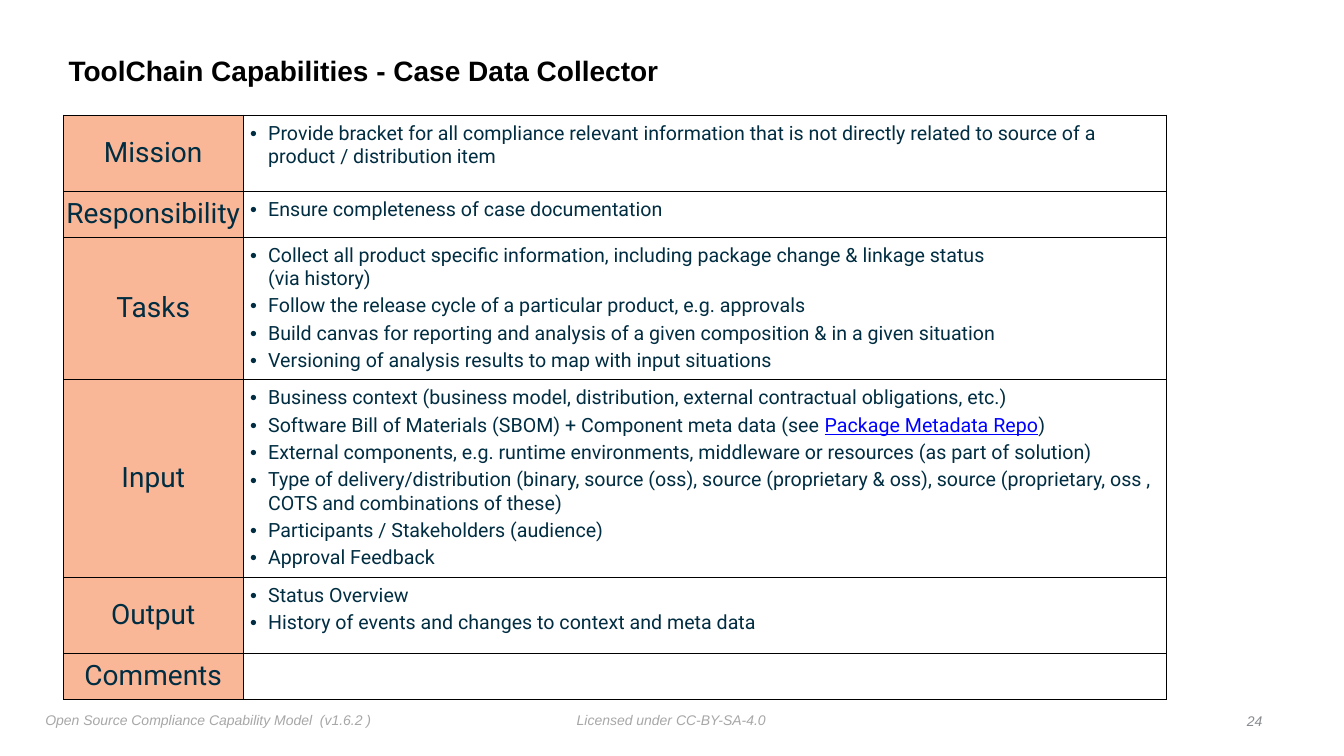
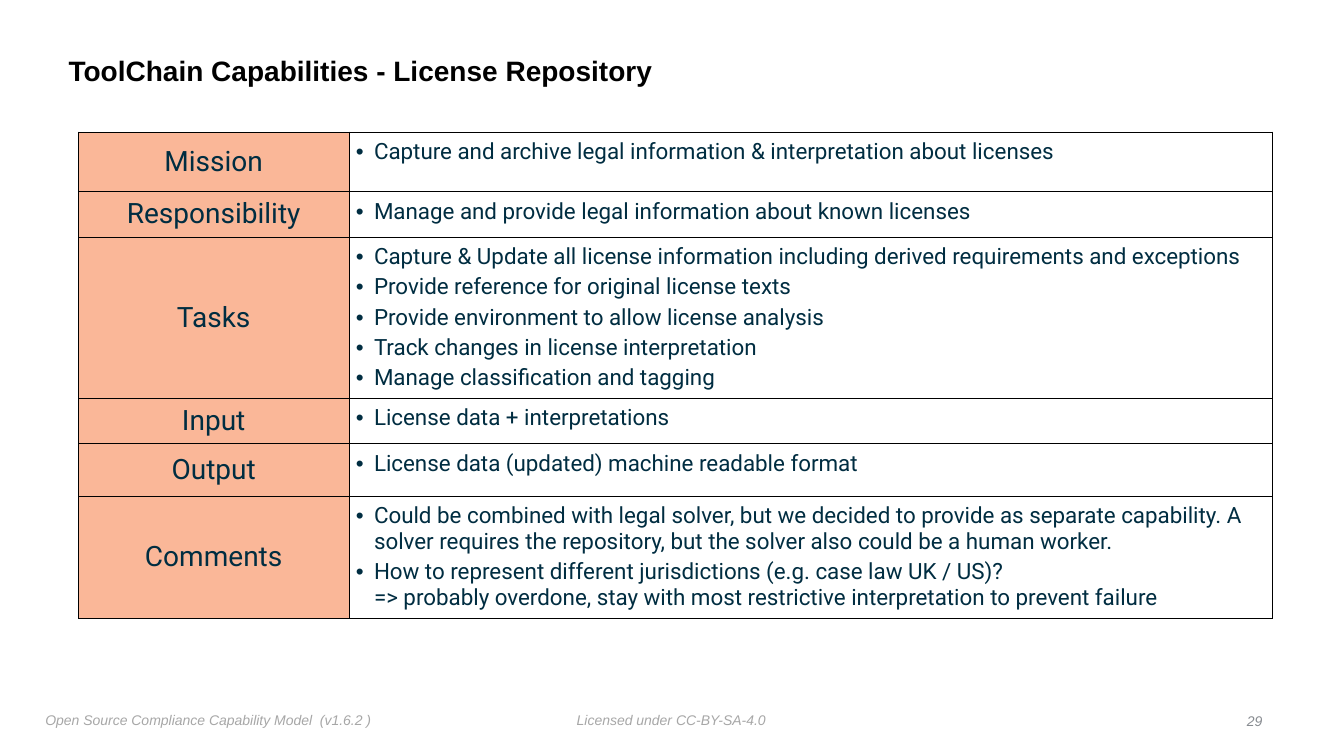
from dataclasses import dataclass
from typing import Sequence

from lxml.etree import Element, SubElement as Sub
from pptx import Presentation as Deck
from pptx.dml.color import RGBColor as RGB
from pptx.enum.text import MSO_ANCHOR as Anchor, MSO_AUTO_SIZE as Fit, PP_ALIGN as Align
from pptx.oxml.ns import qn
from pptx.util import Inches, Pt

COLORS = {
    "title": "000000",
    "text": "002D41",
    "link": "0000FF",
    "label": "FAB798",
    "cell": "FFFFFF",
    "border": "000000",
    "foot": "A7A7A7",
    "number": "888C91",
}
LABELS = ("Mission", "Responsibility", "Tasks", "Input", "Output", "Comments")
HANG = 0.18


@dataclass(frozen=True)
class Link:
    text: str


Item = str | tuple[str | Link, ...]


@dataclass(frozen=True)
class Row:
    height: float
    items: tuple[Item, ...] = ()


@dataclass(frozen=True)
class Page:
    title: str
    number: str
    left: float
    top: float
    label_width: float
    size: int
    rows: tuple[Row, ...]


@dataclass(frozen=True)
class Note:
    text: str
    left: float
    top: float
    width: float
    color: str = "foot"
    align: Align = Align.LEFT
    anchor: Anchor = Anchor.TOP


NOTES = (
    Note("Licensed under CC-BY-SA-4.0", 5.67, 7.01, 2.4),
    Note("Open Source Compliance Capability Model  (v1.6.2 )", 0.4, 7.01, 4),
)

PAGES = (
    Page("Case Data Collector", "24", 0.63, 1.14, 1.78, 14, (
        Row(0.76, (
            "Provide bracket for all compliance relevant information that is not directly "
            "related to source of a product / distribution item",
        )),
        Row(0.45, ("Ensure completeness of case documentation",)),
        Row(1.41, (
            "Collect all product specific information, including package change & linkage status\n"
            "(via history)",
            "Follow the release cycle of a particular product, e.g. approvals",
            "Build canvas for reporting and analysis of a given composition & in a given situation",
            "Versioning of analysis results to map with input situations",
        )),
        Row(1.96, (
            "Business context (business model, distribution, external contractual obligations, etc.)",
            ("Software Bill of Materials (SBOM) + Component meta data (see ",
             Link("Package Metadata Repo"), ")"),
            "External components, e.g. runtime environments, middleware or resources "
            "(as part of solution)",
            "Type of delivery/distribution (binary, source (oss), source (proprietary & oss), "
            "source (proprietary, oss , COTS and combinations of these)",
            "Participants / Stakeholders (audience)",
            "Approval Feedback",
        )),
        Row(0.76, (
            "Status Overview",
            "History of events and changes to context and meta data",
        )),
        Row(0.45),
    )),
    Page("License Repository", "29", 0.78, 1.31, 2.68, 16, (
        Row(0.59, ("Capture and archive legal information & interpretation about licenses",)),
        Row(0.45, ("Manage and provide legal information about known licenses",)),
        Row(1.6, (
            "Capture & Update all license information including derived requirements and exceptions",
            "Provide reference for original license texts",
            "Provide environment to allow license analysis",
            "Track changes in license interpretation",
            "Manage classification and tagging",
        )),
        Row(0.45, ("License data + interpretations",)),
        Row(0.52, ("License data (updated) machine readable format",)),
        Row(1.22, (
            "Could be combined with legal solver, but we decided to provide as separate "
            "capability. A solver requires the repository, but the solver also could be "
            "a human worker.",
            "How to represent different jurisdictions (e.g. case law UK / US)?\n"
            "=> probably overdone, stay with most restrictive interpretation to prevent failure",
        )),
    )),
)


def write(frame, items: Sequence[Item], *, size: int, color: str, font: str = "Arial",
          bold: bool = False, italic: bool = False, align: Align = Align.LEFT,
          bullet: bool = False, gap: int = 0, leading: float | None = None) -> None:
    for index, item in enumerate(items):
        para = frame.paragraphs[0] if index == 0 else frame.add_paragraph()
        if bullet:
            props = para._p.get_or_add_pPr()
            props.set("marL", str(Inches(HANG)))
            props.set("indent", str(-Inches(HANG)))
            Sub(props, qn("a:buFont"), typeface="Arial")
            Sub(props, qn("a:buChar"), char="•")
        para.alignment = align
        if leading:
            para.line_spacing = leading
        if index and gap:
            para.space_before = Pt(gap)
        for part in (item,) if isinstance(item, str) else item:
            link = isinstance(part, Link)
            for at, line in enumerate((part.text if link else part).split("\n")):
                if at:
                    para.add_line_break()
                run = para.add_run()
                run.text = line
                face = run.font
                face.name, face.size = font, Pt(size)
                face.bold, face.italic = bold, italic
                face.underline = link
                face.color.rgb = RGB.from_string(COLORS["link" if link else color])


def pad(box, inset: float) -> None:
    box.margin_left = box.margin_right = Inches(inset)
    box.margin_top = box.margin_bottom = Inches(inset)


def style(cell, fill: str, inset: float, anchor: Anchor) -> None:
    cell.fill.solid()
    cell.fill.fore_color.rgb = RGB.from_string(COLORS[fill])
    pad(cell, inset)
    cell.vertical_anchor = anchor
    props = cell._tc.get_or_add_tcPr()
    for spot, side in enumerate(("lnL", "lnR", "lnT", "lnB")):
        line = Element(qn(f"a:{side}"), w=str(Pt(0.5)))
        Sub(Sub(line, qn("a:solidFill")), qn("a:srgbClr"), val=COLORS["border"])
        props.insert(spot, line)


def draw_note(slide, note: Note) -> None:
    box = slide.shapes.add_textbox(
        Inches(note.left), Inches(note.top), Inches(note.width), Inches(0.25))
    frame = box.text_frame
    frame.word_wrap = True
    frame.vertical_anchor = note.anchor
    pad(frame, 0.05)
    write(frame, [note.text], size=10, color=note.color, italic=True, align=note.align)


def draw_title(slide, text: str) -> None:
    title = slide.shapes.title
    title.left, title.top = Inches(0.63), Inches(0.39)
    title.width, title.height = Inches(10.75), Inches(0.65)
    frame = title.text_frame
    frame.auto_size = Fit.NONE
    frame.vertical_anchor = Anchor.MIDDLE
    pad(frame, 0.05)
    write(frame, [f"ToolChain Capabilities - {text}"], size=20, color="title",
          bold=True, leading=0.9)


def draw_table(slide, page: Page) -> None:
    widths = (page.label_width, 9.16)
    table = slide.shapes.add_table(
        len(page.rows), len(widths), Inches(page.left), Inches(page.top),
        Inches(sum(widths)), Inches(sum(row.height for row in page.rows))).table
    table.first_row = table.horz_banding = False
    for column, width in zip(table.columns, widths):
        column.width = Inches(width)
    for index, (label, row) in enumerate(zip(LABELS, page.rows)):
        table.rows[index].height = Inches(row.height)
        head, body = table.cell(index, 0), table.cell(index, 1)
        style(head, "label", 0, Anchor.MIDDLE)
        style(body, "cell", 0.07, Anchor.TOP)
        write(head.text_frame, [label], size=20, color="text", font="Roboto",
              align=Align.CENTER)
        write(body.text_frame, row.items, size=page.size, color="text", font="Roboto",
              bullet=True, gap=3)


def main() -> None:
    deck = Deck()
    deck.slide_width, deck.slide_height = Inches(13.33), Inches(7.5)
    for page in PAGES:
        slide = deck.slides.add_slide(deck.slide_layouts[5])
        draw_title(slide, page.title)
        draw_table(slide, page)
        number = Note(page.number, 12.07, 7.03, 0.5, "number", Align.RIGHT, Anchor.MIDDLE)
        for note in (*NOTES, number):
            draw_note(slide, note)
    deck.save("out.pptx")


if __name__ == "__main__":
    main()
